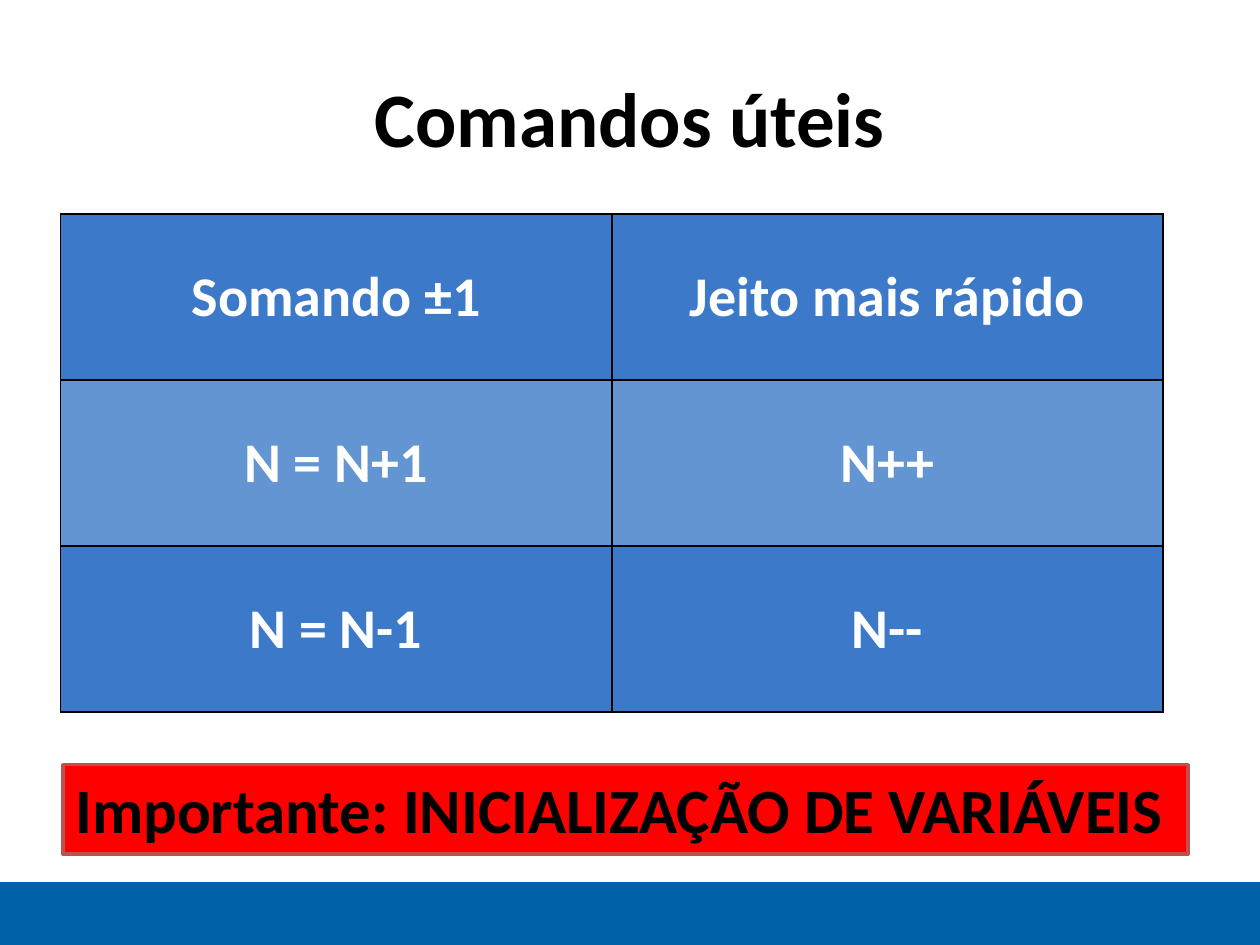
from lxml import etree
from pptx import Presentation
from pptx.dml.color import RGBColor
from pptx.enum.shapes import MSO_SHAPE
from pptx.enum.text import MSO_ANCHOR, MSO_AUTO_SIZE, PP_ALIGN
from pptx.oxml.ns import qn
from pptx.util import Pt

RECTANGLE = MSO_SHAPE.RECTANGLE
MIDDLE = MSO_ANCHOR.MIDDLE
CENTER, LEFT = PP_ALIGN.CENTER, PP_ALIGN.LEFT
FIT_SHAPE = MSO_AUTO_SIZE.SHAPE_TO_FIT_TEXT
FONT = "Calibri"
COLORS = {
    "black": "000000",
    "white": "FFFFFF",
    "footer": "0060A8",
    "row": "3C7AC9",
    "band": "6395D3",
    "warning": "FF0000",
    "warning_edge": "C0504D",
}
COMMANDS = [
    ("Somando ±1", "Jeito mais rápido"),
    ("N = N+1", "N++"),
    ("N = N-1", "N--"),
]


def color(name):
    """Return the named palette colour."""
    return RGBColor.from_string(COLORS[name])


def write_text(frame, text, size, color_name, align):
    """Set one bold paragraph in a text frame."""
    frame.text = text
    paragraph = frame.paragraphs[0]
    paragraph.alignment = align
    font = paragraph.runs[0].font
    font.name, font.size, font.bold = FONT, Pt(size), True
    font.color.rgb = color(color_name)


def border_cell(cell):
    """Draw a thin black line on every side of a cell."""
    properties = cell._tc.get_or_add_tcPr()
    for index, side in enumerate(("a:lnL", "a:lnR", "a:lnT", "a:lnB")):
        line = etree.Element(qn(side), w=str(Pt(1)))
        fill = etree.SubElement(line, qn("a:solidFill"))
        etree.SubElement(fill, qn("a:srgbClr"), val=COLORS["black"])
        properties.insert(index, line)


def add_title(slide, left, top, width, height):
    """Place and format the slide title."""
    title = slide.shapes.title
    title.left, title.top = Pt(left), Pt(top)
    title.width, title.height = Pt(width), Pt(height)
    write_text(title.text_frame, "Comandos úteis", 44, "black", CENTER)
    title.text_frame.vertical_anchor = MIDDLE


def add_bar(slide, left, top, width, height, fill_name):
    """Add a flat filled rectangle without an outline."""
    bar = slide.shapes.add_shape(RECTANGLE, Pt(left), Pt(top), Pt(width), Pt(height))
    bar.shadow.inherit = False
    bar.fill.solid()
    bar.fill.fore_color.rgb = color(fill_name)
    bar.line.fill.background()
    return bar


def add_commands(slide, left, top, width, height):
    """Add the table of commands with equal rows and columns."""
    table = slide.shapes.add_table(
        len(COMMANDS), len(COMMANDS[0]), Pt(left), Pt(top), Pt(width), Pt(height)
    ).table
    for row_index, row in enumerate(COMMANDS):
        for column_index, command in enumerate(row):
            cell = table.cell(row_index, column_index)
            write_text(cell.text_frame, command, 32, "white", CENTER)
            cell.vertical_anchor = MIDDLE
            cell.fill.solid()
            cell.fill.fore_color.rgb = color("band" if row_index % 2 else "row")
            border_cell(cell)


def add_warning(slide, left, top, width, height):
    """Add the outlined reminder box."""
    warning = add_bar(slide, left, top, width, height, "warning")
    warning.line.color.rgb = color("warning_edge")
    warning.line.width = Pt(2)
    frame = warning.text_frame
    write_text(frame, "Importante: INICIALIZAÇÃO DE VARIÁVEIS", 36, "black", LEFT)
    frame.word_wrap = False
    frame.auto_size = FIT_SHAPE
    frame.vertical_anchor = MSO_ANCHOR.TOP


def main():
    """Build and save the slide."""
    deck = Presentation()
    deck.slide_width, deck.slide_height = Pt(720), Pt(540)
    slide = deck.slides.add_slide(deck.slide_layouts[5])
    add_title(slide, 36, 21.6, 648, 90)
    add_bar(slide, 0, 504, 720, 37.4, "footer")
    add_commands(slide, 34.6, 122.4, 630, 284.4)
    add_warning(slide, 36, 437, 643, 51)
    deck.save("out.pptx")


if __name__ == "__main__":
    main()
